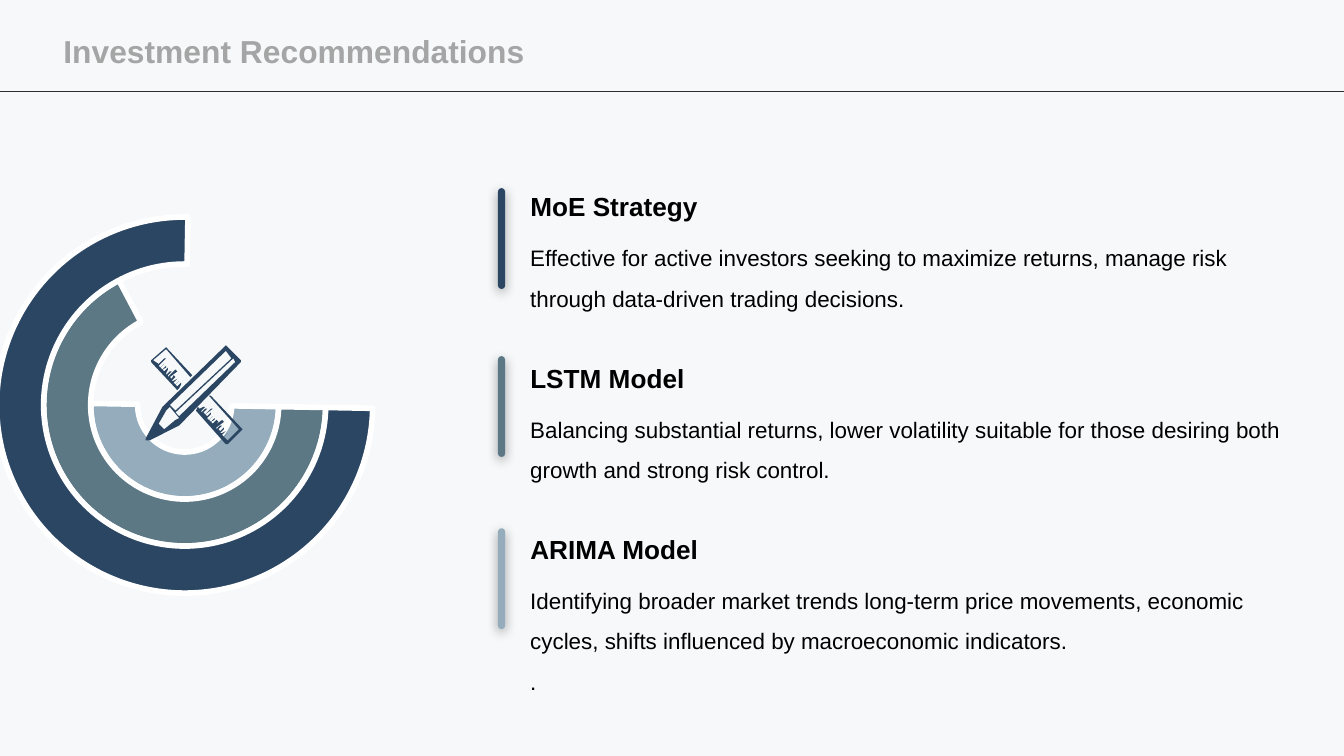
import pptx
import pptx.chart.data
import pptx.dml.color
import pptx.enum.chart
import pptx.enum.shapes
import pptx.enum.text
import pptx.oxml
import pptx.util
from lxml import etree

Pt = pptx.util.Pt
NAVY, TEAL, MIST = "2B4663", "5C7885", "94ACBC"

# Content: heading, colour, bar top, body paragraphs
MODELS = [
    ("MoE Strategy", NAVY, 100.8, [
        "Effective for active investors seeking to maximize returns, manage risk "
        "through data-driven trading decisions."]),
    ("LSTM Model", TEAL, 190.8, [
        "Balancing substantial returns, lower volatility suitable for those desiring "
        "both growth and strong risk control."]),
    ("ARIMA Model", MIST, 283, [
        "Identifying broader market trends long-term price movements, economic cycles, "
        "shifts influenced by macroeconomic indicators.", "."]),
]
RINGS = [("Series 1", (50, 50), MIST), ("Series 2", (67, 33), TEAL),
         ("Series 3", (75, 25), NAVY)]

# Icon outlines in points; each ruler is an outline whose ticks close its open side
UPPER_RULER = [(82.1, 193), (89.2, 187), (102.2, 201.6), (103, 200.9), (89.3, 185.8),
               (88.6, 185.8), (80.6, 193), (81.4, 193.7), (95, 208.8), (95.8, 208.1)]
LOWER_RULER = [(105.8, 218.2), (105.1, 219.6), (121, 237.6), (122.4, 237.6),
               (129.6, 230.4), (129.6, 229.7), (113, 211.7), (112.3, 212.4),
               (128.2, 229.7), (121.7, 236.2)]
PENCIL = [
    [(128.9, 193), (121.7, 185.8), (121, 185.3), (120.2, 185.8), (87.1, 218.2),
     (78.5, 234.7), (78.5, 236.2), (79.9, 236.2), (95.8, 227.5), (128.9, 194.4)],
    [(121, 187.9), (123.8, 191.5), (94.3, 220.3), (90.7, 217.4)],
    [(94.3, 225.4), (87.8, 229.7), (85, 226.8), (88.6, 219.6), (90.7, 218.2), (95.8, 223.9)],
    [(96.5, 223.2), (94.3, 221), (124.6, 192.2), (126, 193.7)],
]


def color(value):
    return pptx.dml.color.RGBColor.from_string(value)


def paint(shape, value):
    shape.fill.solid()
    shape.fill.fore_color.rgb = color(value)
    shape.line.fill.background()
    shape.shadow.inherit = False


def place(shape, left, top, width, height):
    shape.left, shape.top, shape.width, shape.height = map(Pt, (left, top, width, height))


def write(shape, texts, size=12, ink="000000", bold=False, spacing=None,
          margins=(7.2, 3.6), anchor="TOP"):
    frame = shape.text_frame
    frame.word_wrap = True
    frame.auto_size = pptx.enum.text.MSO_AUTO_SIZE.SHAPE_TO_FIT_TEXT
    frame.vertical_anchor = pptx.enum.text.MSO_ANCHOR[anchor]
    frame.margin_left = frame.margin_right = Pt(margins[0])
    frame.margin_top = frame.margin_bottom = Pt(margins[1])
    for index, text in enumerate(texts):
        para = frame.add_paragraph() if index else frame.paragraphs[0]
        para.alignment = pptx.enum.text.PP_ALIGN.LEFT
        para.space_before = Pt(0)
        if spacing:
            para.line_spacing = spacing
        span = para.add_run()
        span.text = text
        span.font.name, span.font.size, span.font.bold = "Arial", Pt(size), bold
        span.font.color.rgb = color(ink)


def ticks(x, y, count):
    """Ruler marks along the edge; every fifth one is long."""
    points = []
    for index in range(count):
        left, top = x - 1.16 * index, y - 1.3 * index
        reach, rise = (3.8, 3.4) if index % 5 == 4 else (1.9, 1.8)
        points += [(left, top), (left + reach, top - rise),
                   (left + reach - 0.45, top - rise - 0.5), (left - 0.45, top - 0.5)]
    return points


def draw_outline(page, contours, value):
    builder = page.shapes.build_freeform(*contours[0][0], scale=12700)
    for index, contour in enumerate(contours):
        if index:
            builder.move_to(*contour[0])
        builder.add_line_segments(contour[1:], close=True)
    paint(builder.convert_to_shape(), value)


def add_rings(page):
    data = pptx.chart.data.CategoryChartData()
    data.categories = ["1", "2"]
    for name, values, _ in RINGS:
        data.add_series(name, values)
    chart = page.shapes.add_chart(pptx.enum.chart.XL_CHART_TYPE.DOUGHNUT,
                                  Pt(-69.1), Pt(105.1), Pt(336.2), Pt(223.9), data).chart
    chart.has_legend = chart.has_title = False
    chart.font.size, chart.font.name = Pt(10), "Noto Sans CJK SC"
    chart.font.color.rgb = color("000000")
    plot = chart.plots[0]
    for series, (_, _, value) in zip(plot.series, RINGS):
        shown, hidden = (series.points[index].format for index in (0, 1))
        shown.fill.solid()
        shown.fill.fore_color.rgb = color(value)
        shown.line.color.rgb = color("FFFFFF")
        shown.line.width = Pt(3)
        hidden.fill.background()
        hidden.line.fill.background()
    # Rotation, hole and plot position
    root = chart.element
    space = root.nsmap["c"]
    for tag, number in (("firstSliceAng", "91"), ("holeSize", "39")):
        next(root.iter("{%s}%s" % (space, tag))).set("val", number)
    area = next(root.iter("{%s}plotArea" % space))
    for old in area.findall("{%s}layout" % space):
        area.remove(old)
    parts = (("layoutTarget", "inner"), ("xMode", "edge"), ("yMode", "edge"),
             ("x", 0.2), ("y", 0.05), ("w", 0.6), ("h", 0.9))
    layout = etree.Element("{%s}layout" % space)
    manual = etree.SubElement(layout, "{%s}manualLayout" % space)
    for tag, number in parts:
        etree.SubElement(manual, "{%s}%s" % (space, tag)).set("val", str(number))
    area.insert(0, layout)


def add_shadow(shape):
    effects = shape.element.spPr.find(pptx.oxml.ns.qn("a:effectLst"))
    effects.append(pptx.oxml.parse_xml(
        '<a:outerShdw %s blurRad="76200" dist="25400" dir="5400000" rotWithShape="0">'
        '<a:srgbClr val="000000"><a:alpha val="36000"/></a:srgbClr></a:outerShdw>'
        % pptx.oxml.ns.nsdecls("a")))


def main():
    deck = pptx.Presentation()
    deck.slide_width, deck.slide_height = Pt(720), Pt(405)
    page = deck.slides.add_slide(deck.slide_layouts[5])
    page.background.fill.solid()
    page.background.fill.fore_color.rgb = color("F6F8F9")

    # Title and rule
    title = page.shapes.title
    place(title, 34, 16.6, 255, 21)
    write(title, ["Investment Recommendations"], size=17, ink="A5A5A5", bold=True,
          margins=(0, 0), anchor="MIDDLE")
    rule = page.shapes.add_connector(pptx.enum.shapes.MSO_CONNECTOR.STRAIGHT,
                                     Pt(720), Pt(49), Pt(0), Pt(49))
    rule.line.color.rgb = color("2E2E2E")
    rule.line.width = Pt(0.75)
    etree.SubElement(rule.element.spPr, pptx.oxml.ns.qn("a:effectLst"))

    # Rings with ruler and pencil
    add_rings(page)
    draw_outline(page, [UPPER_RULER + ticks(95.5, 207.6, 10)], NAVY)
    draw_outline(page, [LOWER_RULER + ticks(120.4, 234.2, 12)], NAVY)
    draw_outline(page, PENCIL, NAVY)

    # Model recommendations
    for index, (heading, value, bar_top, body) in enumerate(MODELS):
        top = 98.6 + 91.8 * index
        box = page.shapes.add_textbox(Pt(277), Pt(top + 21.6), Pt(421),
                                      Pt(18.8 + 19.4 * len(body)))
        write(box, body, spacing=1.5)
        box = page.shapes.add_textbox(Pt(277), Pt(top), Pt(126), Pt(21.6))
        write(box, [heading], size=14, bold=True)
        bar = page.shapes.add_shape(pptx.enum.shapes.MSO_SHAPE.ROUNDED_RECTANGLE,
                                    Pt(266.8), Pt(bar_top), Pt(3.8), Pt(54))
        bar.adjustments[0] = 0.5
        paint(bar, value)
        add_shadow(bar)

    deck.save("out.pptx")


if __name__ == "__main__":
    main()
